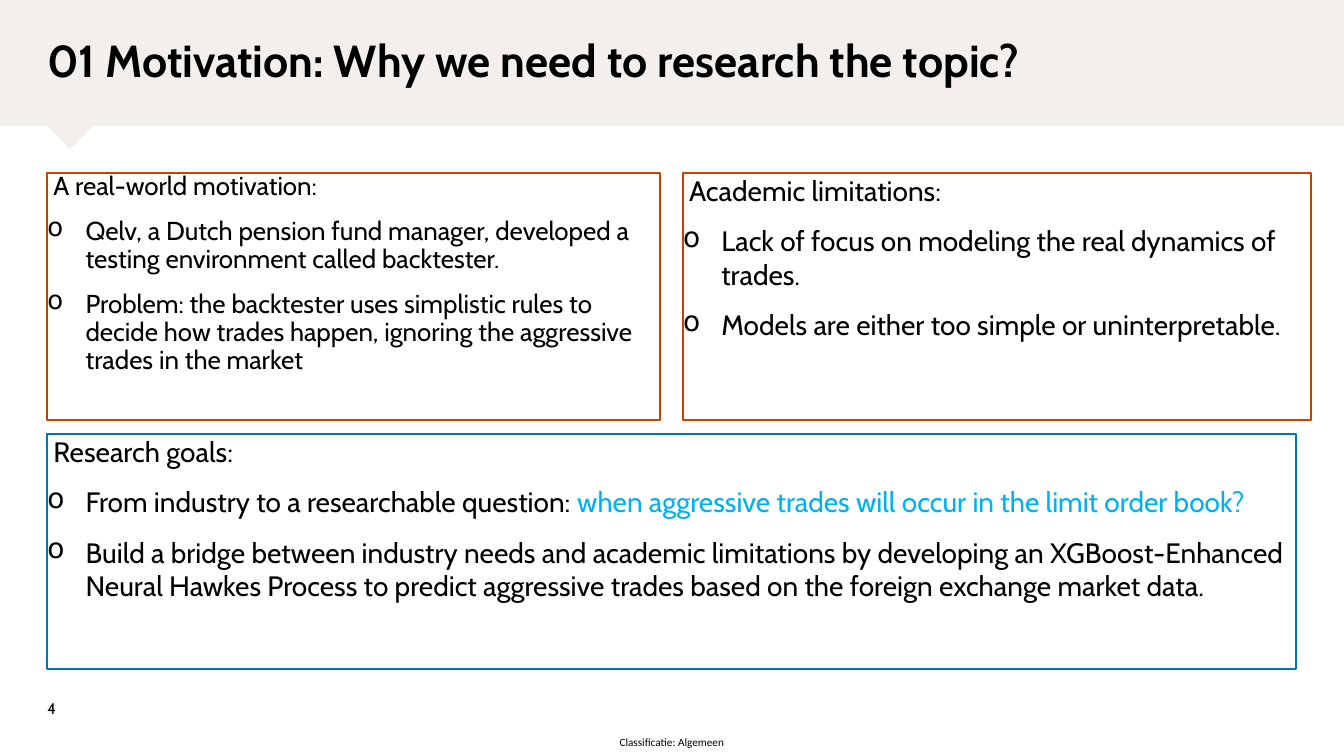
from lxml import etree
from pptx import Presentation
from pptx import util as u
from pptx.dml.color import RGBColor
from pptx.enum import shapes, text
from pptx.oxml import ns

BLACK, BAND, ORANGE, BLUE, CYAN = "000000", "F2EFED", "CC4100", "0077B3", "00B0F0"
MARGIN, WIDE = 0.47, 12.39


def color(value):
    return RGBColor.from_string(value)


def write(para, parts, size, font="Cabin", bold=False, bullet=False):
    """Fill a paragraph with (words, colour) parts, optionally as a bullet."""
    para.alignment = text.PP_ALIGN.LEFT
    if bullet:
        props = para._p.get_or_add_pPr()
        indent = u.Inches(0.38)
        props.set("marL", str(indent))
        props.set("indent", str(-indent))
        tint = etree.SubElement(props, ns.qn("a:buClr"))
        etree.SubElement(tint, ns.qn("a:srgbClr"), val=BLACK)
        etree.SubElement(props, ns.qn("a:buChar"), char="o")
    para.font.name, para.font.size, para.font.bold = font, u.Pt(size), bold
    para.font.color.rgb = color(BLACK)
    for words, tone in parts:
        span = para.add_run()
        span.text = words
        if tone != BLACK:
            span.font.color.rgb = color(tone)


deck = Presentation()
deck.slide_width, deck.slide_height = u.Inches(13.34), u.Inches(7.5)
page = deck.slides.add_slide(deck.slide_layouts[5])

# Header band with its pointer
for kind, left, top, width, height in [
    (shapes.MSO_SHAPE.RECTANGLE, 0, 0, 13.34, 1.25),
    (shapes.MSO_SHAPE.DIAMOND, MARGIN, 1.03, 0.45, 0.45),
]:
    band = page.shapes.add_shape(kind, u.Inches(left), u.Inches(top), u.Inches(width), u.Inches(height))
    band.shadow.inherit = False
    band.fill.solid()
    band.fill.fore_color.rgb = color(BAND)
    band.line.fill.background()

# Title, moved in front of the band
title = page.shapes.title
title.left, title.top, title.width, title.height = map(u.Inches, (MARGIN, 0, WIDE, 1.25))
page.shapes._spTree.append(title._element)

# Slide number and classification
number = page.shapes.add_textbox(u.Inches(MARGIN), u.Inches(6.56), u.Inches(0.54), u.Inches(0.94))
label = page.shapes.add_textbox(u.Inches(6.15), u.Inches(7.3), u.Inches(1.07), u.Inches(0.13))

for box, words, size, font, bold, wrap in [
    (title, "01 Motivation: Why we need to research the topic?", 32, "Cabin", True, True),
    (number, "4", 11, "Cabin", False, True),
    (label, "Classificatie: Algemeen", 8, "Calibri", False, False),
]:
    frame = box.text_frame
    frame.margin_left = frame.margin_top = frame.margin_right = frame.margin_bottom = 0
    frame.auto_size = text.MSO_AUTO_SIZE.NONE
    frame.word_wrap = wrap
    frame.vertical_anchor = text.MSO_ANCHOR.MIDDLE
    write(frame.paragraphs[0], [(words, BLACK)], size, font, bold)
title.text_frame.paragraphs[0].line_spacing = 0.9

# Framed panels: place, outline, text size, line spacing, heading, bullets
panels = [
    ((MARGIN, 1.72, 6.08, 2.45), ORANGE, 18.5, 0.9, "A real-world motivation:", [
        [("Qelv, a Dutch pension fund manager, developed a testing environment called backtester.", BLACK)],
        [("Problem: the backtester uses simplistic rules to decide how trades happen, "
          "ignoring the aggressive trades in the market", BLACK)],
    ]),
    ((6.78, 1.72, 6.23, 2.45), ORANGE, 20, 1.0, "Academic limitations:", [
        [("Lack of focus on modeling the real dynamics of trades.", BLACK)],
        [("Models are either too simple or uninterpretable.", BLACK)],
    ]),
    ((MARGIN, 4.31, WIDE, 2.33), BLUE, 20, 1.0, "Research goals:", [
        [("From industry to a researchable question: ", BLACK),
         ("when aggressive trades will occur in the limit order book?", CYAN)],
        [("Build a bridge between industry needs and academic limitations by developing an "
          "XGBoost-Enhanced Neural Hawkes Process to predict aggressive trades based on the "
          "foreign exchange market data.", BLACK)],
    ]),
]
for place, outline, size, spacing, heading, bullets in panels:
    panel = page.shapes.add_shape(shapes.MSO_SHAPE.RECTANGLE, *map(u.Inches, place))
    panel.shadow.inherit = False
    panel.fill.background()
    panel.line.color.rgb = color(outline)
    panel.line.width = u.Pt(1.5)
    frame = panel.text_frame
    frame.margin_left = frame.margin_top = frame.margin_right = frame.margin_bottom = 0
    frame.word_wrap = True
    frame.vertical_anchor = text.MSO_ANCHOR.TOP
    write(frame.paragraphs[0], [(heading, BLACK)], size)
    frame.paragraphs[0]._p.get_or_add_pPr().set("marL", str(u.Inches(0.06)))
    for parts in bullets:
        write(frame.add_paragraph(), parts, size, bullet=True)
    for para in frame.paragraphs:
        para.line_spacing = spacing
        para.space_after = u.Pt(12)

deck.save("out.pptx")
